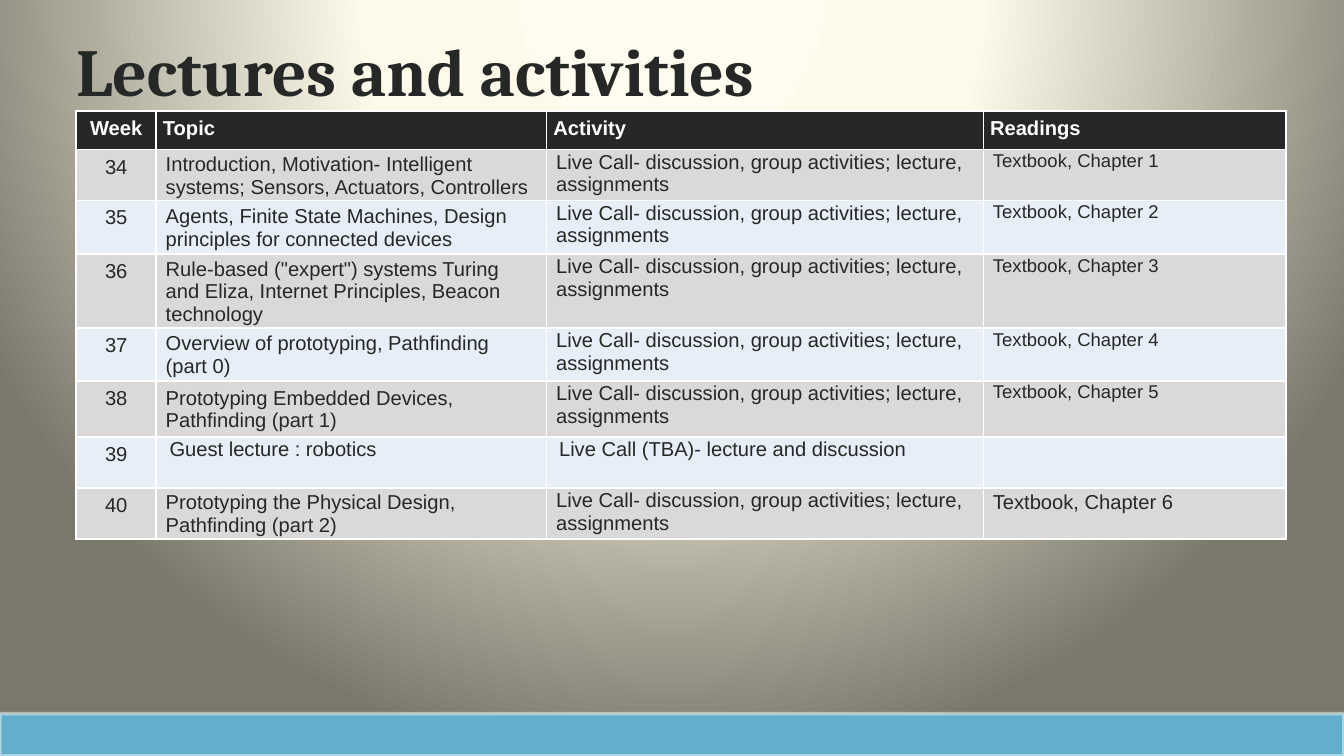
from pptx import Presentation
from pptx.dml.color import RGBColor
from pptx.enum.shapes import MSO_SHAPE
from pptx.enum.text import MSO_ANCHOR, PP_ALIGN
from pptx.oxml import parse_xml
from pptx.oxml.ns import nsdecls, qn
from pptx.util import Cm, Pt

RECTANGLE = MSO_SHAPE.RECTANGLE
TOP, MIDDLE = MSO_ANCHOR.TOP, MSO_ANCHOR.MIDDLE
LEFT, CENTER = PP_ALIGN.LEFT, PP_ALIGN.CENTER

SLIDE_WIDTH, SLIDE_HEIGHT = 28.22, 15.88
TITLE_ONLY_LAYOUT = 5
INK, WHITE, GREY, PALE_BLUE = "262827", "FFFFFF", "D9D9D9", "E7EEF7"
BACKDROP_STOPS = [(0, "FEFCEE"), (40, "FDFAEA"), (100, "7B796B")]

COLUMN_WIDTHS = [1.68, 8.2, 9.17, 6.35]
ROW_HEIGHTS = [0.81, 1.07, 1.13, 1.55, 1.11, 1.18, 1.07, 1.07]
HEADINGS = ["Week", "Topic", "Activity", "Readings"]
FIRST_WEEK = 34
GUEST_WEEK = 39
LAST_WEEK = 40
USUAL_ACTIVITY = "Live Call- discussion, group activities; lecture, assignments"
GUEST_ACTIVITY = "Live Call (TBA)- lecture and discussion"
TOPICS = [
    "Introduction, Motivation- Intelligent systems; Sensors, Actuators, Controllers",
    "Agents, Finite State Machines, Design principles for connected devices",
    'Rule-based ("expert") systems Turing and Eliza, Internet Principles, Beacon technology',
    "Overview of prototyping, Pathfinding (part 0)",
    "Prototyping Embedded Devices, Pathfinding (part 1)",
    "Guest lecture : robotics",
    "Prototyping the Physical Design, Pathfinding (part 2)",
]


def rgb(hex_colour):
    return RGBColor.from_string(hex_colour)


def write(frame, text, size=12, font="Arial", colour=INK, bold=False,
          align=LEFT, spacing=None):
    paragraph = frame.paragraphs[0]
    paragraph.alignment = align
    paragraph.line_spacing = spacing
    paragraph.font.size = Pt(size)
    if not text:
        return
    run = paragraph.add_run()
    run.text = text
    run.font.size = Pt(size)
    run.font.name = font
    run.font.bold = bold
    run.font.color.rgb = rgb(colour)


def paint_backdrop(slide):
    """Fill the background with a glow centred above the top edge."""
    stops = "".join(
        f'<a:gs pos="{percent * 1000}"><a:srgbClr val="{colour}"/></a:gs>'
        for percent, colour in BACKDROP_STOPS)
    backdrop = parse_xml(
        f'<p:bg {nsdecls("p", "a")}><p:bgPr><a:gradFill rotWithShape="1">'
        f'<a:gsLst>{stops}</a:gsLst><a:path path="circle">'
        '<a:fillToRect l="50000" t="-80000" r="50000" b="180000"/></a:path>'
        '</a:gradFill><a:effectLst/></p:bgPr></p:bg>')
    slide.element.cSld.insert(0, backdrop)


def add_footer_band(slide, left, top, width, height):
    band = slide.shapes.add_shape(
        RECTANGLE, Cm(left), Cm(top), Cm(width), Cm(height))
    band.shadow.inherit = False
    band.fill.solid()
    band.fill.fore_color.rgb = rgb("61AFCA")
    band.line.width = Pt(2)
    band.line.color.rgb = rgb("F9F9F9")
    outline = band.element.spPr.find(qn("a:ln"))
    outline.find(".//" + qn("a:srgbClr")).append(
        parse_xml(f'<a:alpha {nsdecls("a")} val="49000"/>'))


def place_title(slide, left, top, width, height):
    title = slide.shapes.title
    title.left, title.top = Cm(left), Cm(top)
    title.width, title.height = Cm(width), Cm(height)
    frame = title.text_frame
    frame.word_wrap = True
    frame.vertical_anchor = MIDDLE
    frame.margin_top = Cm(0.05)
    frame.margin_left = frame.margin_right = frame.margin_bottom = 0
    write(frame, "Lectures and activities", size=40, font="Cambria", bold=True)


def draw_borders(cell):
    properties = cell._tc.get_or_add_tcPr()
    for side in "LRTB":
        properties.append(parse_xml(
            f'<a:ln{side} {nsdecls("a")} w="{Pt(1)}"><a:solidFill>'
            f'<a:srgbClr val="{WHITE}"/></a:solidFill></a:ln{side}>'))


def fill_cell(cell, text, fill, left=0.2, right=0.2, above=0.03, anchor=TOP,
              **text_format):
    draw_borders(cell)
    cell.fill.solid()
    cell.fill.fore_color.rgb = rgb(fill)
    cell.margin_left, cell.margin_right = Cm(left), Cm(right)
    cell.margin_top, cell.margin_bottom = Cm(above), 0
    cell.vertical_anchor = anchor
    write(cell.text_frame, text, **text_format)


def fill_week(cells, week, topic, fill):
    guest, last = week == GUEST_WEEK, week == LAST_WEEK
    chapter = week - FIRST_WEEK + (0 if last else 1)
    week_cell, topic_cell, activity_cell, readings_cell = cells
    fill_cell(week_cell, str(week), fill, left=0.03, right=0.03, above=0.13,
              align=CENTER)
    fill_cell(topic_cell, topic, fill, left=0.28 if guest else 0.2, right=0.3,
              anchor=TOP if guest else MIDDLE)
    fill_cell(activity_cell, GUEST_ACTIVITY if guest else USUAL_ACTIVITY, fill,
              left=0.26 if guest else 0.2)
    fill_cell(readings_cell, "" if guest else f"Textbook, Chapter {chapter}",
              fill, above=0.03 if last else 0, size=12 if last else 11,
              spacing=1.07)


def add_schedule(slide, left, top, width):
    schedule = slide.shapes.add_table(
        len(ROW_HEIGHTS), len(HEADINGS), Cm(left), Cm(top),
        Cm(width), Cm(sum(ROW_HEIGHTS))).table
    schedule.first_row = schedule.horz_banding = False
    for column, share in zip(schedule.columns, COLUMN_WIDTHS):
        column.width = Cm(width * share / sum(COLUMN_WIDTHS))
    for row, height in zip(schedule.rows, ROW_HEIGHTS):
        row.height = Cm(height)

    for cell, heading in zip(schedule.rows[0].cells, HEADINGS):
        centred = heading == "Week"
        fill_cell(cell, heading, INK, left=0.03 if centred else 0.14,
                  right=0.03, above=0.13, colour=WHITE, bold=True,
                  align=CENTER if centred else LEFT)

    for index, topic in enumerate(TOPICS):
        fill_week(schedule.rows[index + 1].cells, FIRST_WEEK + index, topic,
                  PALE_BLUE if index % 2 else GREY)


def main():
    deck = Presentation()
    deck.slide_width, deck.slide_height = Cm(SLIDE_WIDTH), Cm(SLIDE_HEIGHT)
    slide = deck.slides.add_slide(deck.slide_layouts[TITLE_ONLY_LAYOUT])
    paint_backdrop(slide)
    band_height = 0.89
    add_footer_band(slide, 0, SLIDE_HEIGHT - band_height,
                    SLIDE_WIDTH, band_height)
    place_title(slide, 1.6, 0.56, 16.59, 1.75)
    add_schedule(slide, 1.6, 2.33, 25.4)
    deck.save("out.pptx")


if __name__ == "__main__":
    main()
